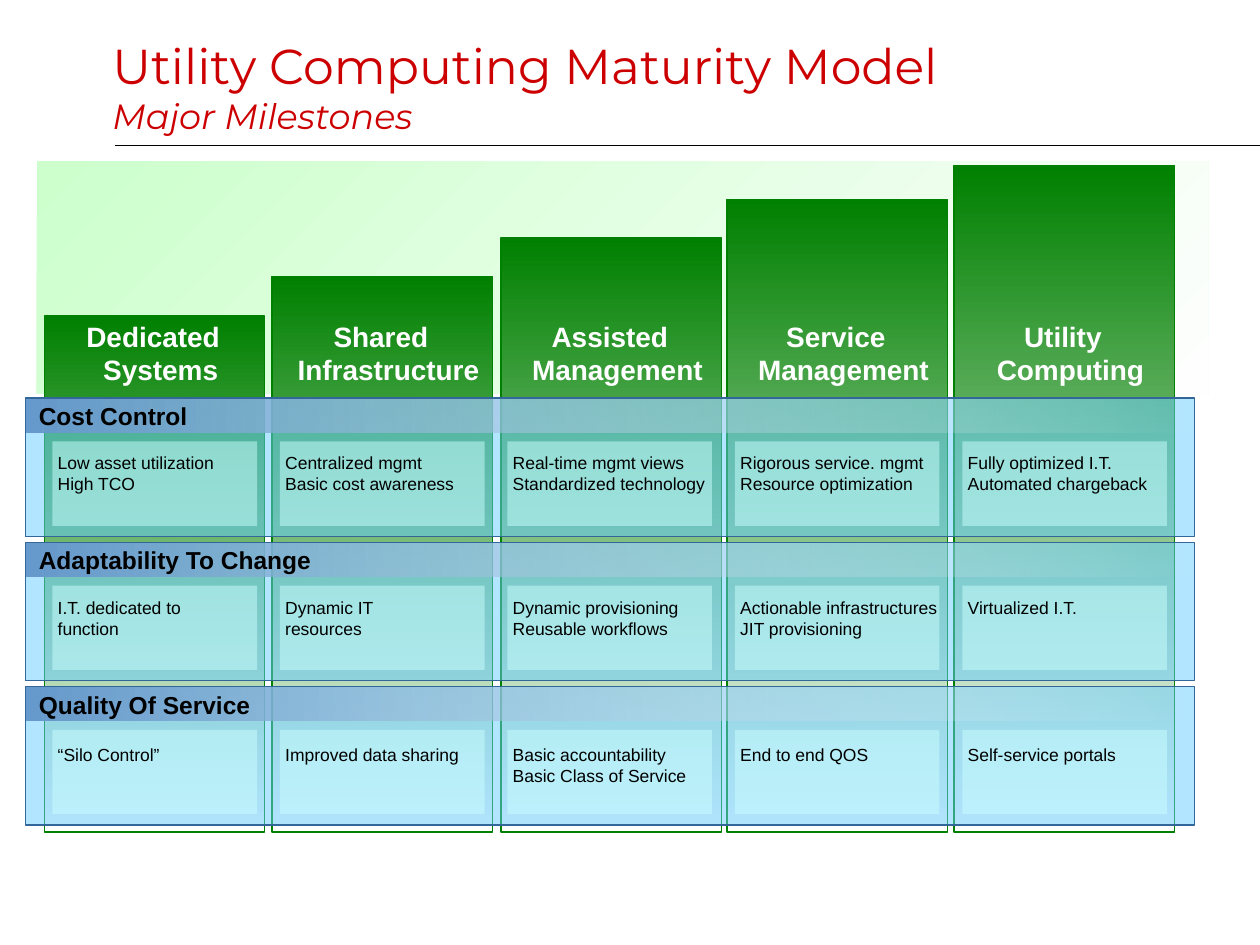
from copy import deepcopy
from dataclasses import dataclass

from lxml.etree import SubElement
from pptx import Presentation
from pptx.dml.color import RGBColor
from pptx.enum.shapes import MSO_CONNECTOR, MSO_SHAPE
from pptx.enum.text import MSO_ANCHOR, MSO_AUTO_SIZE, PP_ALIGN
from pptx.oxml.ns import qn
from pptx.util import Pt


@dataclass(frozen=True)
class Theme:
    red: str = "CC0000"
    black: str = "000000"
    white: str = "FFFFFF"
    fade: str = "FEFEFE"
    green: str = "008000"
    pale_green: str = "CCFFCC"
    panel: str = "66CCFF"
    panel_line: str = "336699"
    band: str = "6699CC"
    cell: str = "CCFFFF"
    title_font: str = "Montserrat"
    body_font: str = "Arial"
    title_size: float = 28
    subtitle_size: float = 20
    stage_size: float = 16
    band_size: float = 14
    cell_size: float = 10
    line_width: float = 0.75


THEME = Theme()
HANGING = 8.64
COLUMN_WIDTH = 126
COLUMN_BOTTOM = 475.5
BAND_TOP, BAND_PITCH = 227.5, 82.4

# stage name, left and top of its column
STAGES = [
    ("Dedicated\nSystems", 25.3, 180.5),
    ("Shared\nInfrastructure", 155.5, 158),
    ("Assisted\nManagement", 286.3, 136),
    ("Service\nManagement", 415.5, 114),
    ("Utility\nComputing", 545.2, 94.5),
]

# band name, distance from band top to cell text, one text for each stage
BANDS = [
    ("Cost Control", 27, [
        "Low asset utilization\nHigh TCO",
        "Centralized mgmt\nBasic cost awareness",
        "Real-time mgmt views\nStandardized technology",
        "Rigorous service. mgmt\nResource optimization",
        "Fully optimized I.T.\nAutomated chargeback",
    ]),
    ("Adaptability To Change", 27.5, [
        "I.T. dedicated to\nfunction",
        "Dynamic IT\nresources",
        "Dynamic provisioning\nReusable workflows",
        "Actionable infrastructures\nJIT provisioning",
        "Virtualized I.T.",
    ]),
    ("Quality Of Service", 29.5, [
        "“Silo Control”",
        "Improved data sharing",
        "Basic accountability\nBasic Class of Service",
        "End to end QOS",
        "Self-service portals",
    ]),
]


def color(value):
    return RGBColor.from_string(value)


def write(paragraph, text, *, size, font=THEME.body_font, fill=THEME.black,
          bold=False, italic=False, align=PP_ALIGN.LEFT, hanging=0):
    """Append text to a paragraph; each newline becomes a line break."""
    paragraph.alignment = align
    if hanging:
        properties = paragraph._p.get_or_add_pPr()
        properties.set("marL", str(Pt(hanging)))
        properties.set("indent", str(-Pt(hanging)))
    for number, line in enumerate(text.split("\n")):
        if number:
            paragraph.add_line_break()
            paragraph._p[-1].insert(0, deepcopy(paragraph.runs[-1]._r.rPr))
        if line:
            run = paragraph.add_run()
            run.text = line
            run.font.name, run.font.size = font, Pt(size)
            run.font.bold, run.font.italic = bold, italic
            run.font.color.rgb = color(fill)


def add_text(shapes, text, left, top, width, height, **text_format):
    frame = shapes.add_textbox(Pt(left), Pt(top), Pt(width), Pt(height)).text_frame
    frame.word_wrap = True
    write(frame.paragraphs[0], text, **text_format)


def set_alpha(shape, percent):
    """Make the last colour of the shape's fill partly transparent."""
    fill_color = shape._element.spPr.findall(".//" + qn("a:srgbClr"))[-1]
    SubElement(fill_color, qn("a:alpha")).set("val", str(percent * 1000))


def add_box(shapes, left, top, width, height, *, fill, fade_to=None, angle=0,
            alpha=None, line=None):
    shape = shapes.add_shape(
        MSO_SHAPE.RECTANGLE, Pt(left), Pt(top), Pt(width), Pt(height))
    shape.shadow.inherit = False
    if fade_to:
        shape.fill.gradient()
        shape.fill.gradient_angle = angle
        for stop, stop_color in zip(shape.fill.gradient_stops, (fill, fade_to)):
            stop.color.rgb = color(stop_color)
    else:
        shape.fill.solid()
        shape.fill.fore_color.rgb = color(fill)
    if alpha is not None:
        set_alpha(shape, alpha)
    if line:
        shape.line.color.rgb = color(line)
        shape.line.width = Pt(THEME.line_width)
    else:
        shape.line.fill.background()
    return shape


def add_title(slide, left, top, width, height):
    title = slide.shapes.title
    title.left, title.top = Pt(left), Pt(top)
    title.width, title.height = Pt(width), Pt(height)
    frame = title.text_frame
    frame.auto_size = MSO_AUTO_SIZE.NONE
    frame.vertical_anchor = MSO_ANCHOR.BOTTOM
    look = dict(font=THEME.title_font, fill=THEME.red)
    paragraph = frame.paragraphs[0]
    write(paragraph, "Utility Computing Maturity Model\n",
          size=THEME.title_size, **look)
    write(paragraph, "Major Milestones", size=THEME.subtitle_size,
          italic=True, **look)


def add_rule(slide, left, top, right):
    rule = slide.shapes.add_connector(
        MSO_CONNECTOR.STRAIGHT, Pt(left), Pt(top), Pt(right), Pt(top))
    rule.line.color.rgb = color(THEME.black)
    rule.line.width = Pt(THEME.line_width)
    SubElement(rule._element.spPr, qn("a:effectLst"))


def add_column(shapes, left, top, width, height):
    add_box(shapes, left, top, width, height, fill=THEME.green,
            fade_to=THEME.fade, angle=270, line=THEME.green)


def add_band(slide, name, texts, text_offset, left, top, width, height):
    """Add a translucent row with one cell for each stage and a header strip."""
    shapes = slide.shapes.add_group_shape().shapes
    add_box(shapes, left, top, width, height, fill=THEME.panel, alpha=50,
            line=THEME.panel_line)
    for number, text in enumerate(texts):
        cell_left = left + 15.5 + 130 * number
        add_box(shapes, cell_left, top + 24.8, 117, 48.2,
                fill=THEME.cell, alpha=50)
        add_text(shapes, text, cell_left - 4, top + text_offset, 132, 30,
                 size=THEME.cell_size)
    header = add_box(shapes, left + 0.7, top + 0.8, width + 0.6, 18.7,
                     fill=THEME.band, fade_to=THEME.fade, alpha=0)
    header.text_frame.vertical_anchor = MSO_ANCHOR.MIDDLE
    write(header.text_frame.paragraphs[0], name, size=THEME.band_size,
          bold=True, hanging=HANGING)


def main():
    presentation = Presentation()
    presentation.slide_width, presentation.slide_height = Pt(720), Pt(540)
    slide = presentation.slides.add_slide(presentation.slide_layouts[5])
    shapes = slide.shapes

    add_rule(slide, 66, 83, 720)
    add_box(shapes, 20.9, 92.2, 669.6, 132.5, fill=THEME.pale_green,
            fade_to=THEME.fade, angle=315)
    for _, left, top in STAGES:
        add_column(shapes, left, top, COLUMN_WIDTH, COLUMN_BOTTOM - top)
    add_title(slide, 57, 16, 649, 65.5)
    for number, (name, text_offset, texts) in enumerate(BANDS):
        add_band(slide, name, texts, text_offset,
                 14.4, BAND_TOP + BAND_PITCH * number, 668.2, 79.2)
    for name, left, _ in STAGES:
        add_text(shapes, name, left - 9.8, 179, 144, 44, bold=True,
                 size=THEME.stage_size, fill=THEME.white,
                 align=PP_ALIGN.CENTER, hanging=HANGING)

    presentation.save("out.pptx")


if __name__ == "__main__":
    main()
